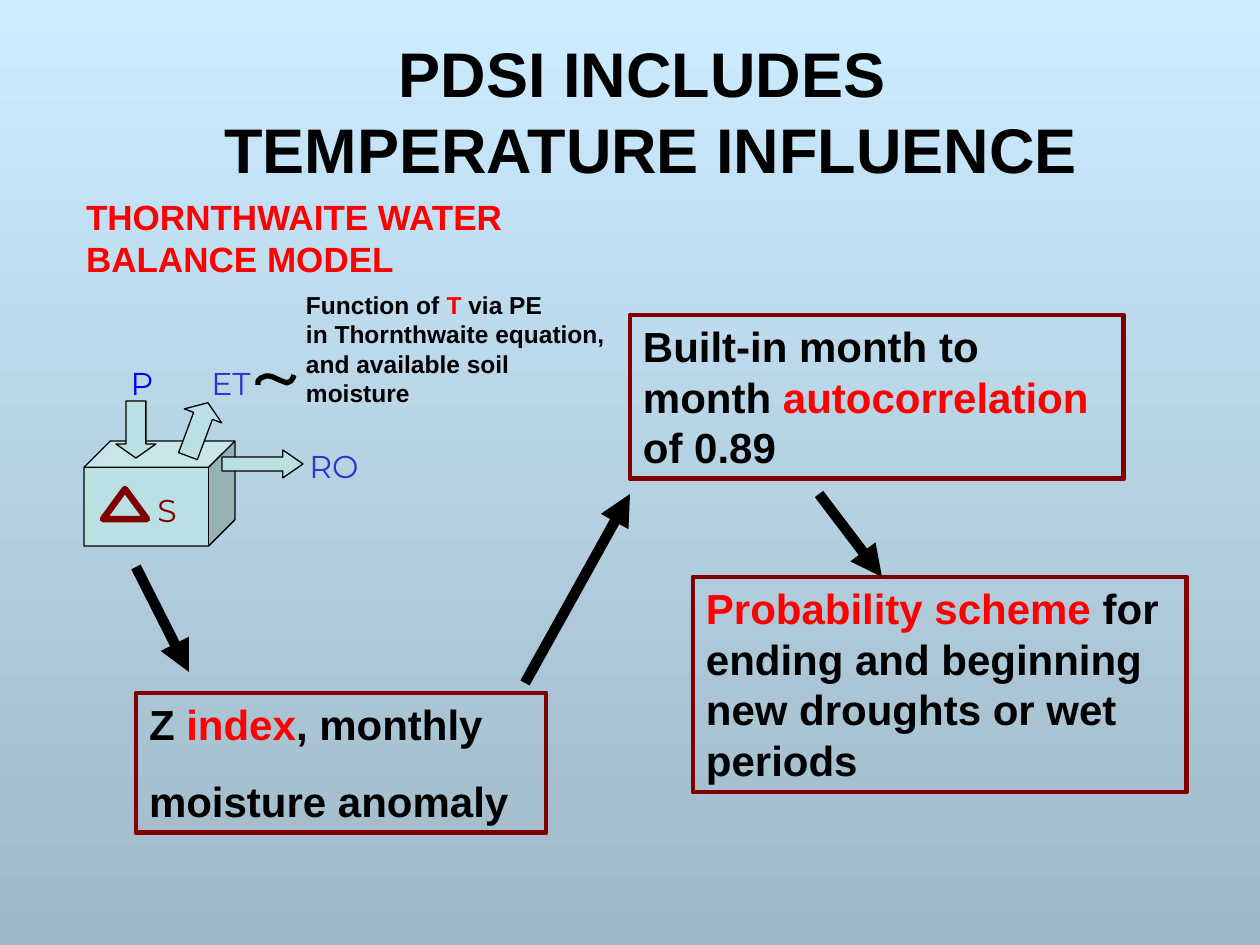
from dataclasses import dataclass

from lxml import etree
from pptx import Presentation
from pptx.dml.color import RGBColor
from pptx.enum.shapes import MSO_CONNECTOR, MSO_SHAPE
from pptx.enum.text import MSO_ANCHOR, PP_ALIGN
from pptx.oxml.ns import qn
from pptx.util import Emu, Pt

CUBE, TRIANGLE, RECT = MSO_SHAPE.CUBE, MSO_SHAPE.ISOSCELES_TRIANGLE, MSO_SHAPE.RECTANGLE
DOWN, UP, RIGHT = MSO_SHAPE.DOWN_ARROW, MSO_SHAPE.UP_ARROW, MSO_SHAPE.RIGHT_ARROW
STRAIGHT = MSO_CONNECTOR.STRAIGHT
CENTER, LEFT = PP_ALIGN.CENTER, PP_ALIGN.LEFT
TOP, MIDDLE = MSO_ANCHOR.TOP, MSO_ANCHOR.MIDDLE

EMU_PER_PX = 914400 / 126


@dataclass(frozen=True)
class Theme:
    font: str = "Arial"
    label_font: str = "Montserrat"
    black: str = "000000"
    red: str = "FF0000"
    maroon: str = "800000"
    blue: str = "0000FF"
    indigo: str = "3333CC"
    aqua: str = "BBE0E3"
    sky_top: str = "CCECFF"
    sky_bottom: str = "9FB8C7"
    title_size: int = 36
    box_size: int = 24
    heading_size: int = 20
    label_size: int = 18
    note_size: int = 14


THEME = Theme()


@dataclass(frozen=True)
class Run:
    text: str
    color: str = THEME.black


@dataclass(frozen=True)
class Rect:
    x: int
    y: int
    w: int
    h: int


@dataclass(frozen=True)
class TextStyle:
    size: int
    font: str = THEME.font
    bold: bool = True
    align: int = LEFT
    anchor: int = TOP
    before: float = 0
    wrap: bool = True
    side_inset: int = 13


@dataclass(frozen=True)
class Block:
    kind: int
    rect: Rect
    fill: str | None
    line: str
    width: float
    adj: tuple[float, ...] = ()
    rotation: float = 0


@dataclass(frozen=True)
class Label:
    text: str
    rect: Rect
    color: str


@dataclass(frozen=True)
class StepBox:
    rect: Rect
    paragraphs: list[list[Run]]


@dataclass(frozen=True)
class Arrow:
    x1: int
    y1: int
    x2: int
    y2: int


TITLE = TextStyle(THEME.title_size, align=CENTER, anchor=MIDDLE)
HEADING = TextStyle(THEME.heading_size)
NOTE = TextStyle(THEME.note_size, wrap=False)
LABEL = TextStyle(THEME.label_size, THEME.label_font, False, CENTER, wrap=False, side_inset=0)
STEP = TextStyle(THEME.box_size, before=15)

BLOCKS = [
    Block(CUBE, Rect(84, 441, 151, 105), THEME.aqua, THEME.black, 0.75, (0.25,)),
    Block(TRIANGLE, Rect(103, 489, 44, 30), None, THEME.maroon, 3.75),
    Block(DOWN, Rect(116, 401, 40, 57), THEME.aqua, THEME.black, 0.75, (0.5, 0.35)),
    Block(UP, Rect(178, 401, 40, 57), THEME.aqua, THEME.black, 0.75, (0.5, 0.35), 20.5),
    Block(RIGHT, Rect(222, 450, 81, 28), THEME.aqua, THEME.black, 0.75, (0.5, 0.72)),
]
LABELS = [
    Label("P", Rect(128, 358, 28, 38), THEME.blue),
    Label("ET", Rect(203, 358, 56, 38), THEME.indigo),
    Label("S", Rect(153, 485, 28, 38), THEME.maroon),
    Label("RO", Rect(304, 441, 60, 38), THEME.indigo),
]
TILDE = [(258, 385), (258, 381), (261, 378), (266, 376), (269, 376), (273, 377),
         (277, 379), (282, 381), (287, 383), (291, 381), (293, 378), (294, 375)]
NOTE_LINES = [
    [Run("Function of "), Run("T", THEME.red), Run(" via PE")],
    [Run("in Thornthwaite equation,")],
    [Run("and available soil moisture")],
]
STEPS = [
    StepBox(Rect(136, 693, 410, 140),
            [[Run("Z "), Run("index", THEME.red), Run(", monthly")],
             [Run("moisture anomaly")]]),
    StepBox(Rect(630, 315, 494, 164),
            [[Run("Built-in month to month "), Run("autocorrelation", THEME.red),
              Run(" of 0.89")]]),
    StepBox(Rect(693, 577, 494, 215),
            [[Run("Probability scheme", THEME.red),
              Run(" for ending and beginning new droughts or wet periods")]]),
]
ARROWS = [Arrow(136, 567, 189, 672), Arrow(525, 683, 630, 494), Arrow(819, 494, 882, 577)]


def px(n: float) -> Emu:
    return Emu(round(n * EMU_PER_PX))


def rgb(color: str) -> RGBColor:
    return RGBColor.from_string(color)


def box(rect: Rect) -> tuple[Emu, ...]:
    return px(rect.x), px(rect.y), px(rect.w), px(rect.h)


def write(sp, paragraphs: list[list[Run]], style: TextStyle) -> None:
    tf = sp.text_frame
    tf.word_wrap = style.wrap
    tf.vertical_anchor = style.anchor
    tf.margin_left = tf.margin_right = px(style.side_inset)
    tf.margin_top = tf.margin_bottom = px(6)
    for i, runs in enumerate(paragraphs):
        p = tf.add_paragraph() if i else tf.paragraphs[0]
        p.alignment = style.align
        p.space_before = Pt(style.before)
        for run in runs:
            if run.text == "\n":
                p.add_line_break()
                continue
            r = p.add_run()
            r.text = run.text
            r.font.name, r.font.size, r.font.bold = style.font, Pt(style.size), style.bold
            r.font.color.rgb = rgb(run.color)


def add_text(s, rect: Rect, paragraphs: list[list[Run]], style: TextStyle) -> None:
    write(s.shapes.add_textbox(*box(rect)), paragraphs, style)


def paint(sp, fill: str | None, line: str, width: float) -> None:
    sp.shadow.inherit = False
    if fill:
        sp.fill.solid()
        sp.fill.fore_color.rgb = rgb(fill)
    else:
        sp.fill.background()
    sp.line.color.rgb = rgb(line)
    sp.line.width = Pt(width)


def add_block(s, block: Block):
    sp = s.shapes.add_shape(block.kind, *box(block.rect))
    paint(sp, block.fill, block.line, block.width)
    for i, value in enumerate(block.adj):
        sp.adjustments[i] = value
    sp.rotation = block.rotation
    return sp


def add_arrow(s, a: Arrow) -> None:
    sp = s.shapes.add_connector(STRAIGHT, px(a.x1), px(a.y1), px(a.x2), px(a.y2))
    sp.line.color.rgb = rgb(THEME.black)
    sp.line.width = Pt(6)
    etree.SubElement(sp.line._get_or_add_ln(), qn("a:tailEnd"), type="triangle")
    etree.SubElement(sp._element.spPr, qn("a:effectLst"))


def main() -> None:
    prs = Presentation()
    prs.slide_width, prs.slide_height = px(1260), px(945)
    s = prs.slides.add_slide(prs.slide_layouts[5])

    # Background, light at the top
    fill = s.background.fill
    fill.gradient()
    fill.gradient_angle = 270
    for stop, color in zip(fill.gradient_stops, (THEME.sky_top, THEME.sky_bottom)):
        stop.color.rgb = rgb(color)

    # Title and heading
    title = s.shapes.title
    title.left, title.top, title.width, title.height = box(Rect(84, 32, 1134, 157))
    write(title, [[Run("PDSI INCLUDES "), Run("\n"), Run("TEMPERATURE INFLUENCE")]], TITLE)
    add_text(s, Rect(73, 189, 598, 97),
             [[Run("THORNTHWAITE WATER BALANCE MODEL", THEME.red)]], HEADING)

    # Water balance diagram
    for block in BLOCKS:
        add_block(s, block)
    for label in LABELS:
        add_text(s, label.rect, [[Run(label.text, label.color)]], LABEL)
    add_text(s, Rect(293, 284, 339, 101), NOTE_LINES, NOTE)
    builder = s.shapes.build_freeform(*TILDE[0], scale=EMU_PER_PX)
    builder.add_line_segments(TILDE[1:], close=False)
    paint(builder.convert_to_shape(), None, THEME.black, 3)

    # Index steps and the arrows between them
    for step in STEPS:
        sp = add_block(s, Block(RECT, step.rect, None, THEME.maroon, 2.75))
        write(sp, step.paragraphs, STEP)
    for arrow in ARROWS:
        add_arrow(s, arrow)

    prs.save("out.pptx")


if __name__ == "__main__":
    main()
